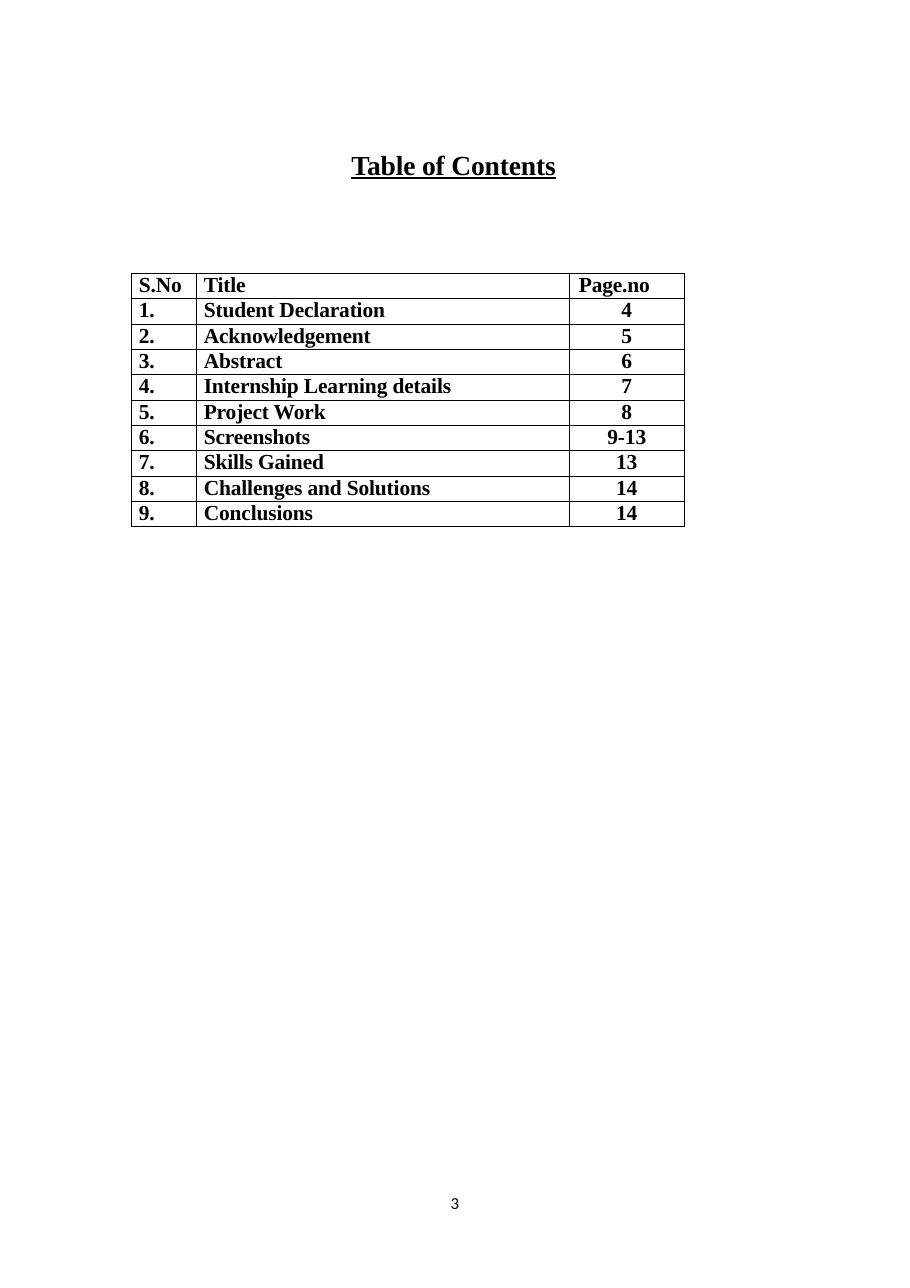
from lxml import etree
from pptx import Presentation
from pptx.dml.color import RGBColor
from pptx.enum.text import PP_ALIGN
from pptx.oxml.ns import qn
from pptx.util import Inches, Pt

LEFT, CENTER, RIGHT = PP_ALIGN.LEFT, PP_ALIGN.CENTER, PP_ALIGN.RIGHT
COLORS = {"ink": "000000"}
SERIF, SANS = "Times New Roman", "Calibri"

# Content
HEADING = "Table of Contents"
PAGE_NUMBER = "3"
HEADER = ("S.No", "Title", "Page.no")
ENTRIES = [
    ("Student Declaration", "4"),
    ("Acknowledgement", "5"),
    ("Abstract", "6"),
    ("Internship Learning details", "7"),
    ("Project Work", "8"),
    ("Screenshots", "9-13"),
    ("Skills Gained", "13"),
    ("Challenges and Solutions", "14"),
    ("Conclusions", "14"),
]

# Layout in inches
COLUMN_WIDTHS = (0.59, 3.39, 1.04)
ROW_HEIGHT = 0.23
TABLE_LEFT, TABLE_TOP = 1.19, 2.48
CELL_INDENT, HEADER_INDENT = 0.07, 0.31


def write(frame, text, size, font, bold=False, underline=False, align=LEFT, spacing=-0.1):
    para = frame.paragraphs[0]
    para.alignment = align
    para.font.size, para.font.name = Pt(size), font
    para.font.bold, para.font.underline = bold, underline
    para.font.color.rgb = RGBColor.from_string(COLORS["ink"])
    span = para.add_run()
    span.text = text
    span.font._element.set("spc", str(round(spacing * 100)))
    return para


def add_text(page, left, top, width, height, margins, *args, **style):
    box = page.shapes.add_textbox(*map(Inches, (left, top, width, height)))
    frame = box.text_frame
    frame.word_wrap = True
    frame.margin_left, frame.margin_top = map(Inches, margins)
    frame.margin_right = frame.margin_bottom = 0
    return write(frame, *args, **style)


def add_borders(cell):
    properties = cell._tc.get_or_add_tcPr()
    for side in ("lnL", "lnR", "lnT", "lnB"):
        line = etree.SubElement(properties, qn(f"a:{side}"), w=str(Pt(0.5)))
        fill = etree.SubElement(line, qn("a:solidFill"))
        etree.SubElement(fill, qn("a:srgbClr"), val=COLORS["ink"])


deck = Presentation()
deck.slide_width, deck.slide_height = Inches(8.26), Inches(11.69)
page = deck.slides.add_slide(deck.slide_layouts[6])

# Heading
add_text(page, 3.18, 1.32, 1.91, 0.33, (0.01, 0.02),
         HEADING, 18, SERIF, bold=True, underline=True)

# Contents table
rows = [HEADER] + [(f"{number}.", *entry) for number, entry in enumerate(ENTRIES, 1)]
table = page.shapes.add_table(
    len(rows), len(HEADER), Inches(TABLE_LEFT), Inches(TABLE_TOP),
    Inches(sum(COLUMN_WIDTHS)), Inches(ROW_HEIGHT * len(rows))).table
table.first_row = table.horz_banding = False
for column, width in zip(table.columns, COLUMN_WIDTHS):
    column.width = Inches(width)

for row_index, row in enumerate(rows):
    table.rows[row_index].height = Inches(ROW_HEIGHT)
    page_align = CENTER if row_index else RIGHT
    for column_index, (text, align) in enumerate(zip(row, (LEFT, LEFT, page_align))):
        cell = table.cell(row_index, column_index)
        cell.margin_left = Inches(CELL_INDENT if align == LEFT else 0)
        cell.margin_right = Inches(HEADER_INDENT if align == RIGHT else 0)
        cell.margin_top = cell.margin_bottom = 0
        add_borders(cell)
        cell.fill.background()
        para = write(cell.text_frame, text, 14, SERIF, bold=True, align=align)
        para.line_spacing = Pt(15.6)

# Page number
footer = add_text(page, 4.04, 10.85, 0.23, 0.18, (0.05, 0), PAGE_NUMBER, 11, SANS)
footer.line_spacing = Pt(11.5)

deck.save("out.pptx")
